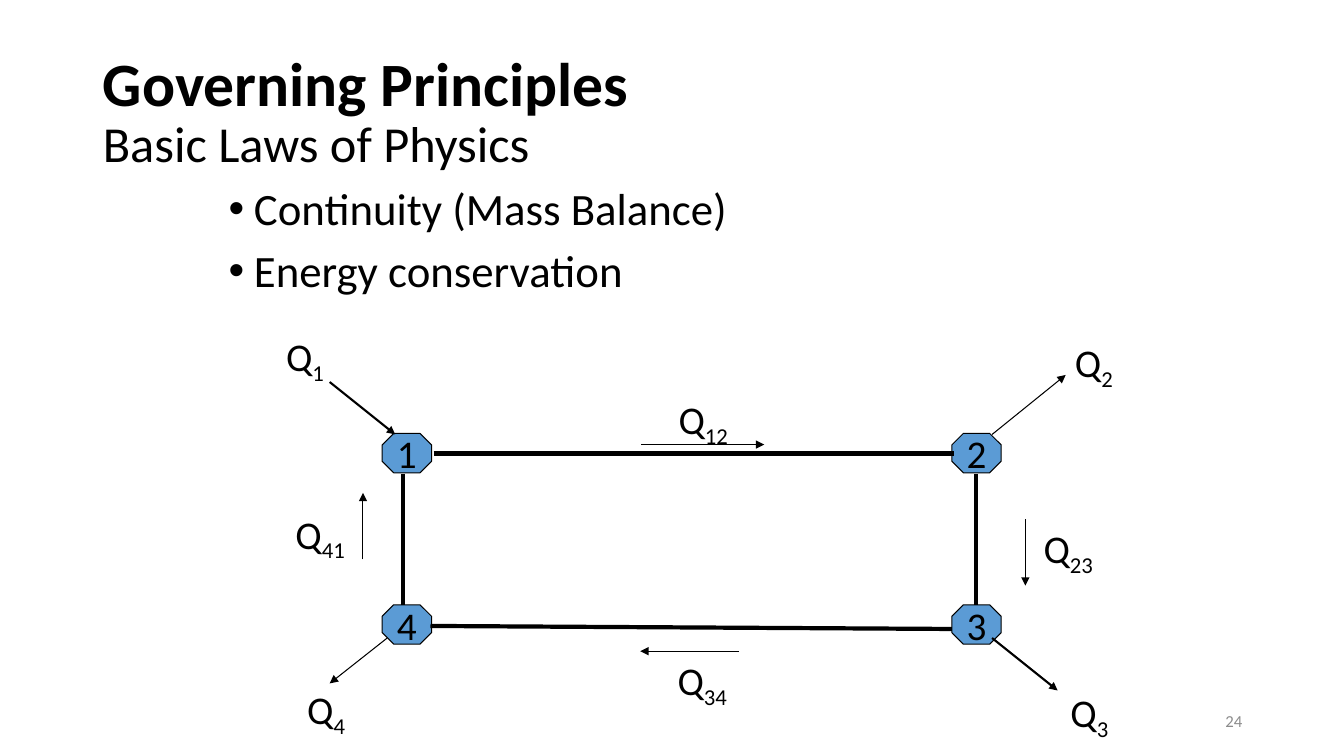
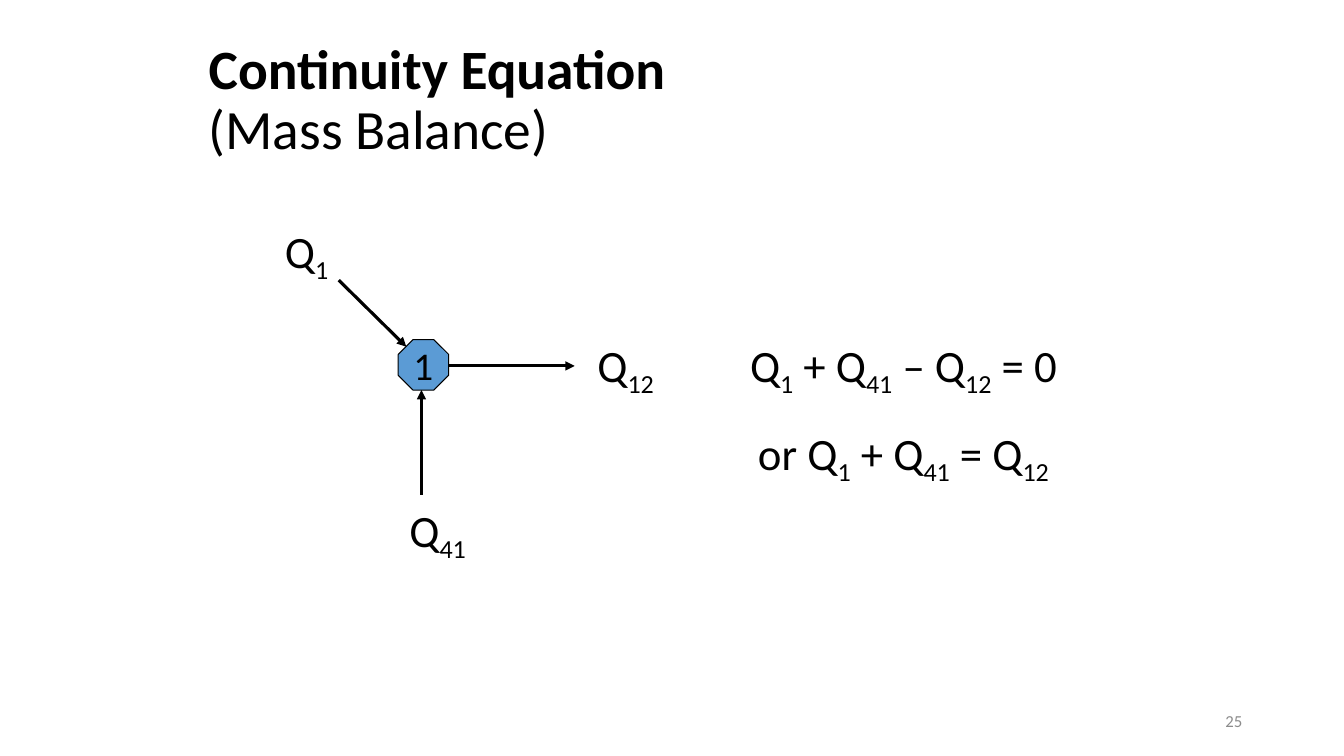
from dataclasses import dataclass

from lxml import etree
from pptx import Presentation
from pptx import util as u
from pptx.dml.color import RGBColor
from pptx.enum import shapes, text
from pptx.oxml.ns import qn


@dataclass(frozen=True)
class Theme:
    font: str = "Calibri"
    ink: str = "000000"
    node: str = "5B9BD5"
    muted: str = "8C8C8C"
    body: float = 32
    label: float = 28
    number: float = 12
    thin: float = 0.75
    medium: float = 1.5
    bold: float = 2.25
    pipe: float = 3


T = Theme()
LEFT, CENTER, RIGHT = text.PP_ALIGN.LEFT, text.PP_ALIGN.CENTER, text.PP_ALIGN.RIGHT
TOP, MIDDLE = text.MSO_ANCHOR.TOP, text.MSO_ANCHOR.MIDDLE

# Boxes are (left, top, width, height) and lines (x1, y1, x2, y2), in inches.
# Text in square brackets is set as a subscript.
NETWORK = dict(
    title=("Governing Principles", 44, "Basic Laws of Physics", 36),
    title_box=(0.92, 0.4, 11.5, 1.45),
    number="24",
    bullets=["Continuity (Mass Balance)", "Energy conservation"],
    bullet_box=(2.17, 1.8, 9.25, 4.95),
    node_size=(0.49, 0.39),
    nodes=[("1", 3.79, 4.3), ("2", 9.44, 4.3), ("4", 3.79, 6), ("3", 9.44, 6)],
    pipes=[(4.3, 4.5, 9.46, 4.5), (9.68, 4.7, 9.68, 6),
           (9.44, 6.24, 4.27, 6.21), (4, 4.7, 4, 6)],
    arrows=[
        (T.medium, [(3.27, 3.79, 3.92, 4.31), (9.84, 6.33, 10.49, 6.85)]),
        (T.thin, [(3.84, 6.33, 3.27, 6.78), (9.84, 4.31, 10.57, 3.72),
                  (6.36, 4.41, 7.58, 4.41), (10.17, 5.15, 10.17, 5.81),
                  (7.33, 6.46, 6.35, 6.46), (3.6, 5.55, 3.6, 4.89)]),
    ],
    label_size=T.label,
    label_height=0.57,
    labels=[("Q[1]", 2.66, 3.25, 0.73), ("Q[2]", 10.55, 3.31, 0.6),
            ("Q[3]", 10.48, 6.78, 0.65), ("Q[4]", 2.87, 6.75, 0.73),
            ("Q[12]", 6.51, 3.87, 0.93), ("Q[23]", 10.19, 5.15, 0.81),
            ("Q[34]", 6.48, 6.46, 0.97), ("Q[41]", 2.69, 5.01, 0.97)],
)
BALANCE = dict(
    title=("Continuity Equation", 39.6, "(Mass Balance)", 39.6),
    title_box=(1.97, 0.38, 9.42, 1.25),
    number="25",
    node_size=(0.5, 0.5),
    nodes=[("1", 3.95, 3.37)],
    arrows=[(T.bold, [(3.36, 2.78, 4.03, 3.44), (4.45, 3.63, 5.7, 3.63),
                      (4.18, 4.91, 4.18, 3.87)])],
    label_size=T.body,
    label_height=0.64,
    labels=[("Q[1]", 2.71, 2.17, 0.66), ("Q[12]", 5.73, 3.3, 0.95),
            ("Q[41]", 3.84, 4.94, 1),
            ("Q[1] + Q[41] – Q[12] = 0", 6.5, 3.3, 4.92),
            ("or Q[1] + Q[41] = Q[12]", 7.35, 4.17, 3.22)],
)
NUMBER_BOX = (9.42, 6.95, 3, 0.4)


def inches(values):
    return [u.Inches(v) for v in values]


def write(p, content, size, color=T.ink, bold=False, align=LEFT, spacing=None):
    """Append content to a paragraph, lowering the parts in square brackets."""
    p.alignment = align
    if spacing:
        p.line_spacing = spacing
    for i, part in enumerate(content.replace("]", "[").split("[")):
        if not part:
            continue
        r = p.add_run()
        r.text = part
        r.font.name, r.font.size, r.font.bold = T.font, u.Pt(size), bold
        r.font.color.rgb = RGBColor.from_string(color)
        if i % 2:
            r.font._element.set("baseline", "-25000")


def add_text(s, box, content, size, wrap=True, anchor=TOP, **fmt):
    tf = s.shapes.add_textbox(*inches(box)).text_frame
    tf.word_wrap, tf.vertical_anchor = wrap, anchor
    write(tf.paragraphs[0], content, size, **fmt)


def add_title(s, box, lines):
    head, head_size, sub, sub_size = lines
    sp = s.shapes.title
    sp.left, sp.top, sp.width, sp.height = inches(box)
    tf = sp.text_frame
    tf.auto_size, tf.vertical_anchor = text.MSO_AUTO_SIZE.NONE, MIDDLE
    p = tf.paragraphs[0]
    write(p, head, head_size, bold=True, spacing=0.9)
    p.add_line_break()
    write(p, sub, sub_size, spacing=0.9)


def add_bullets(s, box, items):
    tf = s.shapes.add_textbox(*inches(box)).text_frame
    tf.word_wrap = True
    for i, item in enumerate(items):
        p = tf.add_paragraph() if i else tf.paragraphs[0]
        pPr = p._p.get_or_add_pPr()
        pPr.set("marL", str(u.Inches(0.25)))
        pPr.set("indent", str(-u.Inches(0.25)))
        etree.SubElement(pPr, qn("a:buFont")).set("typeface", "Arial")
        etree.SubElement(pPr, qn("a:buChar")).set("char", "•")
        if i:
            p.space_before = u.Pt(10)
        write(p, item, T.body, spacing=0.9)


def add_node(s, box, name):
    sp = s.shapes.add_shape(shapes.MSO_SHAPE.OCTAGON, *inches(box))
    sp.shadow.inherit = False
    sp.fill.solid()
    sp.fill.fore_color.rgb = RGBColor.from_string(T.node)
    sp.line.color.rgb = RGBColor.from_string(T.ink)
    sp.line.width = u.Pt(T.thin)
    tf = sp.text_frame
    tf.word_wrap, tf.vertical_anchor = False, MIDDLE
    write(tf.paragraphs[0], name, T.label, align=CENTER)


def add_line(s, ends, width, arrow=False):
    c = s.shapes.add_connector(shapes.MSO_CONNECTOR.STRAIGHT, *inches(ends))
    c.line.color.rgb = RGBColor.from_string(T.ink)
    c.line.width = u.Pt(width)
    if arrow:
        etree.SubElement(c.line._get_or_add_ln(), qn("a:tailEnd")).set("type", "triangle")
    etree.SubElement(c._element.spPr, qn("a:effectLst"))


def add_slide(prs, d):
    s = prs.slides.add_slide(prs.slide_layouts.get_by_name("Title Only"))
    add_title(s, d["title_box"], d["title"])
    if "bullets" in d:
        add_bullets(s, d["bullet_box"], d["bullets"])
    for name, x, y in d["nodes"]:
        add_node(s, (x, y, *d["node_size"]), name)
    for ends in d.get("pipes", []):
        add_line(s, ends, T.pipe)
    for width, arrows in d["arrows"]:
        for ends in arrows:
            add_line(s, ends, width, arrow=True)
    for label, x, y, w in d["labels"]:
        add_text(s, (x, y, w, d["label_height"]), label, d["label_size"],
                 wrap=False, align=CENTER)
    add_text(s, NUMBER_BOX, d["number"], T.number, anchor=MIDDLE,
             color=T.muted, align=RIGHT)


def main():
    prs = Presentation()
    prs.slide_width, prs.slide_height = inches((13.33, 7.5))
    for d in (NETWORK, BALANCE):
        add_slide(prs, d)
    prs.save("out.pptx")


if __name__ == "__main__":
    main()
